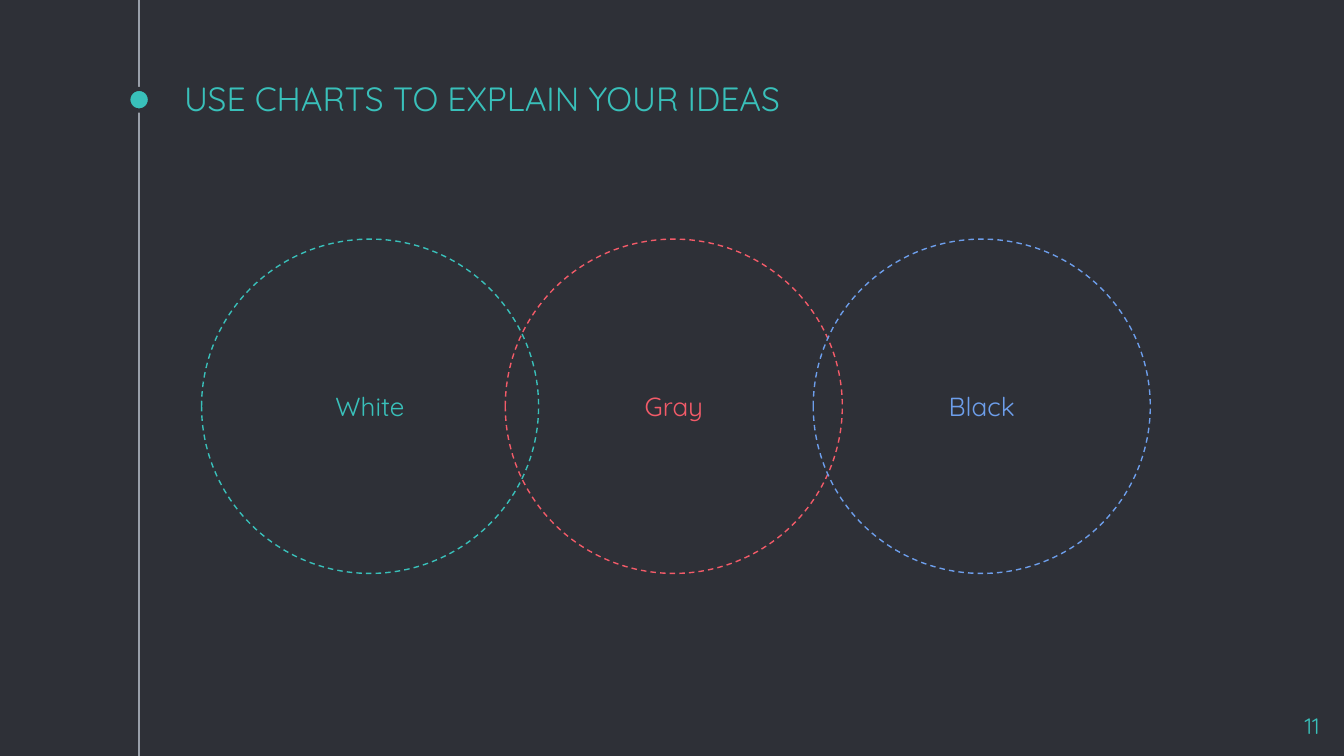
from lxml import etree
from pptx import Presentation
from pptx.dml.color import RGBColor
from pptx.enum.dml import MSO_LINE
from pptx.enum.shapes import MSO_CONNECTOR, MSO_SHAPE
from pptx.enum.text import MSO_ANCHOR, MSO_AUTO_SIZE, PP_ALIGN
from pptx.oxml.ns import qn
from pptx.util import Cm, Pt

DARK = RGBColor(0x2E, 0x30, 0x37)
GRAY = RGBColor(0x99, 0x9F, 0xA9)
TEAL = RGBColor(0x39, 0xC0, 0xBA)
RED = RGBColor(0xF3, 0x5B, 0x69)
BLUE = RGBColor(0x6D, 0x9E, 0xEB)

FONT = "Quicksand"
OVAL = MSO_SHAPE.OVAL
STRAIGHT = MSO_CONNECTOR.STRAIGHT
DASH = MSO_LINE.DASH
NO_AUTOFIT = MSO_AUTO_SIZE.NONE
TOP, MIDDLE, BOTTOM = MSO_ANCHOR.TOP, MSO_ANCHOR.MIDDLE, MSO_ANCHOR.BOTTOM
LEFT, CENTER, RIGHT = PP_ALIGN.LEFT, PP_ALIGN.CENTER, PP_ALIGN.RIGHT

TITLE_ONLY = 5
SLIDE_WIDTH, SLIDE_HEIGHT = Cm(25.4), Cm(14.29)
INSET = Cm(0.25)
TIMELINE_X = Cm(2.63)
DOT_SIZE = Cm(0.41)
CIRCLE_TOP, CIRCLE_WIDTH, CIRCLE_HEIGHT = Cm(4.52), Cm(6.37), Cm(6.32)

# Label, left edge and colour, from back to front
CIRCLES = [
    ("Gray", Cm(9.55), RED),
    ("White", Cm(3.81), TEAL),
    ("Black", Cm(15.37), BLUE),
]


def write_text(shape, text, size, color, align, anchor):
    frame = shape.text_frame
    frame.word_wrap = True
    frame.auto_size = NO_AUTOFIT
    frame.vertical_anchor = anchor
    frame.margin_left = frame.margin_right = INSET
    frame.margin_top = frame.margin_bottom = INSET
    paragraph = frame.paragraphs[0]
    paragraph.alignment = align
    run = paragraph.add_run()
    run.text = text
    run.font.name = FONT
    run.font.size = Pt(size)
    run.font.color.rgb = color


def add_timeline(slide):
    timeline = slide.shapes.add_connector(
        STRAIGHT, TIMELINE_X, 0, TIMELINE_X, SLIDE_HEIGHT)
    timeline.line.color.rgb = GRAY
    timeline.line.width = Pt(0.75)
    etree.SubElement(timeline._element.spPr, qn("a:effectLst"))

    # The background-coloured outline leaves a gap around the dot
    dot = slide.shapes.add_shape(
        OVAL, TIMELINE_X - DOT_SIZE // 2, Cm(1.68), DOT_SIZE, DOT_SIZE)
    dot.shadow.inherit = False
    dot.fill.solid()
    dot.fill.fore_color.rgb = TEAL
    dot.line.color.rgb = DARK
    dot.line.width = Pt(2.25)


def set_title(slide, text):
    title = slide.shapes.title
    title.left, title.top = Cm(3.23), Cm(1.52)
    title.width, title.height = Cm(19.05), Cm(0.97)
    write_text(title, text, 18, TEAL, LEFT, BOTTOM)


def add_circle(slide, label, left, color):
    circle = slide.shapes.add_shape(
        OVAL, left, CIRCLE_TOP, CIRCLE_WIDTH, CIRCLE_HEIGHT)
    circle.shadow.inherit = False
    circle.fill.background()
    circle.line.color.rgb = color
    circle.line.width = Pt(0.75)
    circle.line.dash_style = DASH
    write_text(circle, label, 14, color, CENTER, MIDDLE)


def add_page_number(slide, number):
    page_number = slide.shapes.add_textbox(
        Cm(23.67), Cm(13.21), Cm(1.52), Cm(0.86))
    write_text(page_number, number, 12, TEAL, RIGHT, TOP)


def main():
    prs = Presentation()
    prs.slide_width, prs.slide_height = SLIDE_WIDTH, SLIDE_HEIGHT
    slide = prs.slides.add_slide(prs.slide_layouts[TITLE_ONLY])
    slide.background.fill.solid()
    slide.background.fill.fore_color.rgb = DARK

    # Heading beside the timeline
    add_timeline(slide)
    set_title(slide, "USE CHARTS TO EXPLAIN YOUR IDEAS")

    # Overlapping circles
    for label, left, color in CIRCLES:
        add_circle(slide, label, left, color)

    add_page_number(slide, "11")
    prs.save("out.pptx")


if __name__ == "__main__":
    main()
